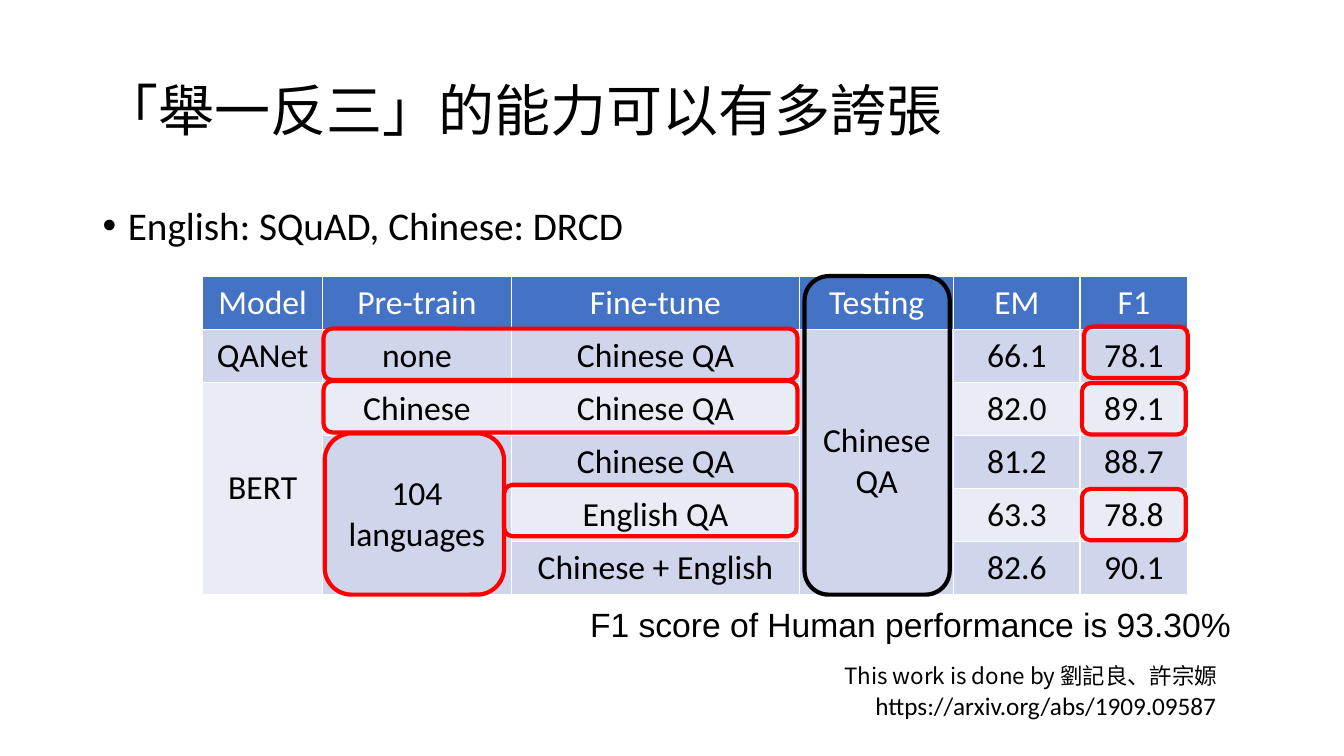
import pptx
import pptx.util
import pptx.dml.color
import pptx.enum.shapes
import pptx.enum.text
import pptx.oxml.ns
import lxml.etree

WIDTH = pptx.util.Inches(13.33)
HEIGHT = pptx.util.Inches(7.5)
COLORS = {
    "text": "000000",
    "header_text": "FFFFFF",
    "header": "4472C4",
    "odd": "CFD5EA",
    "even": "E9EBF5",
    "highlight": "FF0000",
}
CHINESE_FONT = "Noto Sans CJK SC"
ALIGN = pptx.enum.text.PP_ALIGN
MIDDLE = pptx.enum.text.MSO_ANCHOR.MIDDLE

COLUMNS = [8.93, 14.03, 21.46, 11.48, 9.38, 8.03]
ROW_HEIGHT = 7.02
TABLE_LEFT, TABLE_TOP = 15.08, 36.53
RESULTS = [
    ["Model", "Pre-train", "Fine-tune", "Testing", "EM", "F1"],
    ["QANet", "none", "Chinese QA", "Chinese\nQA", "66.1", "78.1"],
    ["BERT", "Chinese", "Chinese QA", "", "82.0", "89.1"],
    ["", "104 languages", "Chinese QA", "", "81.2", "88.7"],
    ["", "", "English QA", "", "63.3", "78.8"],
    ["", "", "Chinese + English", "", "82.6", "90.1"],
]
MERGED_FROM = [(1, 3), (2, 0), (3, 1)]
OUTLINES = [
    ((59.86, 36.53, 10.8, 42.13), "text"),
    ((24.08, 43.47, 35.26, 6.8), "highlight"),
    ((80.65, 43.2, 7.73, 6.8), "highlight"),
    ((24.08, 50.4, 35.26, 6.8), "highlight"),
    ((80.5, 50.67, 7.73, 6.8), "highlight"),
    ((24.16, 57.33, 13.35, 21.33), "highlight"),
    ((37.51, 64.13, 21.76, 6.8), "highlight"),
    ((80.5, 64.67, 7.73, 6.8), "highlight"),
]


def across(percent):
    return round(WIDTH * percent / 100)


def down(percent):
    return round(HEIGHT * percent / 100)


def place(area):
    left, top, width, height = area
    return across(left), down(top), across(width), down(height)


def color(name):
    return pptx.dml.color.RGBColor.from_string(COLORS[name])


def set_values(target, values):
    for name, value in values.items():
        setattr(target, name, value)


def write(para, text, size, font="Calibri", ink="text", **para_format):
    set_values(para, para_format)
    span = para.add_run()
    span.text = text
    set_values(span.font, {"size": pptx.util.Pt(size), "name": font, "bold": False})
    span.font.color.rgb = color(ink)
    if font == CHINESE_FONT:
        east_asian = lxml.etree.SubElement(span.font._element, pptx.oxml.ns.qn("a:ea"))
        east_asian.set("typeface", font)


def add_bullet(para):
    properties = para._p.get_or_add_pPr()
    properties.set("marL", str(pptx.util.Inches(0.25)))
    properties.set("indent", str(pptx.util.Inches(-0.25)))
    for tag, key, value in [("a:buFont", "typeface", "Arial"), ("a:buChar", "char", "•")]:
        lxml.etree.SubElement(properties, pptx.oxml.ns.qn(tag)).set(key, value)


def add_text(page, area, text, size, bullet=False, frame_format=None, **text_format):
    frame = page.shapes.add_textbox(*place(area)).text_frame
    set_values(frame, {"word_wrap": True, **(frame_format or {})})
    para = frame.paragraphs[0]
    if bullet:
        add_bullet(para)
    write(para, text, size, **text_format)


def fill_cell(cell, text, fill, ink):
    cell.vertical_anchor = MIDDLE
    cell.fill.solid()
    cell.fill.fore_color.rgb = color(fill)
    for number, line in enumerate(text.split("\n") if text else []):
        frame = cell.text_frame
        para = frame.add_paragraph() if number else frame.paragraphs[0]
        write(para, line, 24, ink=ink, alignment=ALIGN.CENTER)


def add_results(page):
    area = (TABLE_LEFT, TABLE_TOP, sum(COLUMNS), ROW_HEIGHT * len(RESULTS))
    table = page.shapes.add_table(len(RESULTS), len(COLUMNS), *place(area)).table
    for column, width in zip(table.columns, COLUMNS):
        column.width = across(width)
    for row_number, values in enumerate(RESULTS):
        table.rows[row_number].height = down(ROW_HEIGHT)
        fill = ("odd" if row_number % 2 else "even") if row_number else "header"
        ink = "text" if row_number else "header_text"
        for column_number, text in enumerate(values):
            fill_cell(table.cell(row_number, column_number), text, fill, ink)
    for row_number, column_number in MERGED_FROM:
        last = table.cell(len(RESULTS) - 1, column_number)
        table.cell(row_number, column_number).merge(last)


def add_outline(page, area, ink):
    kind = pptx.enum.shapes.MSO_SHAPE.ROUNDED_RECTANGLE
    box = page.shapes.add_shape(kind, *place(area))
    box.shadow.inherit = False
    box.fill.background()
    box.line.color.rgb = color(ink)
    box.line.width = pptx.util.Pt(3)


def main():
    deck = pptx.Presentation()
    set_values(deck, {"slide_width": WIDTH, "slide_height": HEIGHT})
    page = deck.slides.add_slide(deck.slide_layouts[6])
    add_text(page, (6.9, 5.33, 86.27, 19.33), "「舉一反三」的能力可以有多誇張", 40,
             frame_format={"vertical_anchor": MIDDLE}, font=CHINESE_FONT, line_spacing=0.9)
    add_text(page, (6.9, 26.67, 86.27, 63.47), "English: SQuAD, Chinese: DRCD", 28,
             bullet=True, line_spacing=0.9)
    add_results(page)
    for area, ink in OUTLINES:
        add_outline(page, area, ink)
    add_text(page, (42.91, 79.2, 49.66, 6.67), "F1 score of Human performance is 93.30%", 24,
             frame_format={"word_wrap": False}, font="Arial", alignment=ALIGN.CENTER)
    add_text(page, (59.86, 86.93, 31.43, 4.93), "This work is done by 劉記良、許宗嫄", 16,
             font=CHINESE_FONT, alignment=ALIGN.RIGHT)
    add_text(page, (61.07, 90.67, 30.16, 5.33), "https://arxiv.org/abs/1909.09587", 18,
             alignment=ALIGN.RIGHT)
    deck.save("out.pptx")


if __name__ == "__main__":
    main()
